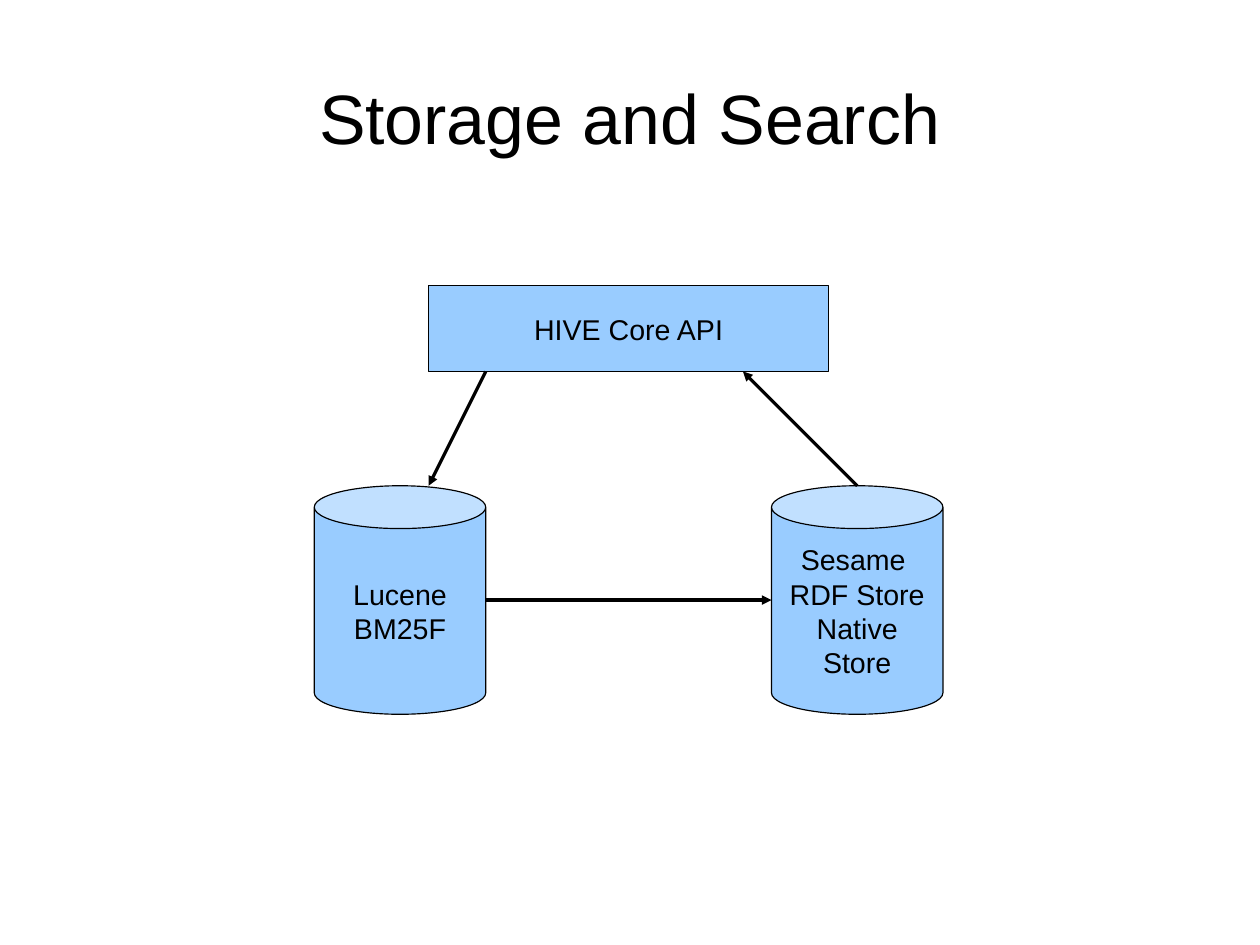
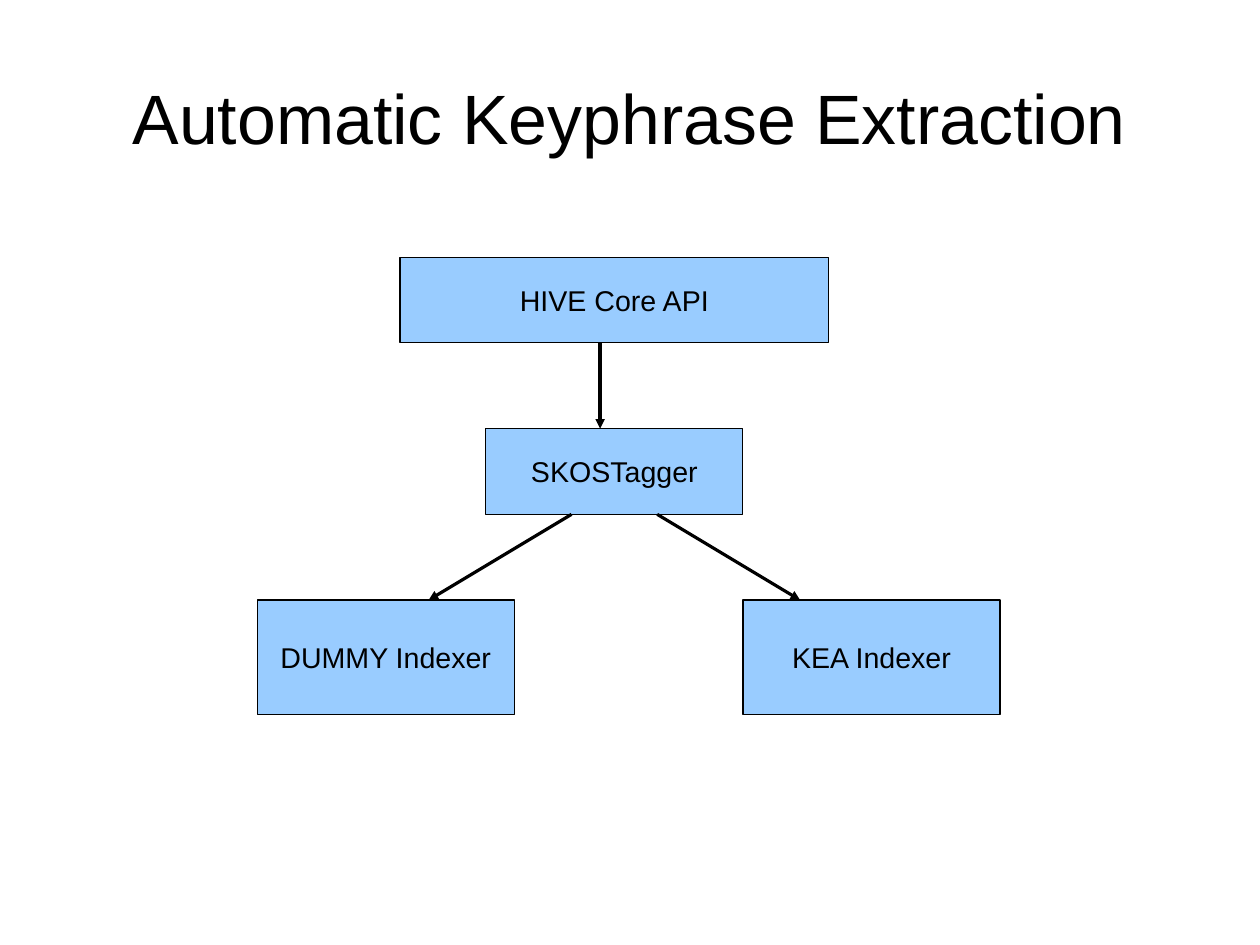
from lxml.etree import SubElement
from pptx import Presentation
from pptx.dml.color import RGBColor
from pptx.enum.shapes import MSO_CONNECTOR, MSO_SHAPE
from pptx.enum.text import MSO_ANCHOR, MSO_AUTO_SIZE, PP_ALIGN
from pptx.oxml.ns import qn
from pptx.util import Cm, Pt

# Shared style
BLACK = RGBColor(0x00, 0x00, 0x00)
SKY_BLUE = RGBColor(0x99, 0xCC, 0xFF)
FONT = "Arial"
HAIRLINE = Pt(0)
GRID = Cm(2.54) // 4  # the diagrams sit on a quarter-inch grid

# Diagrams in grid steps: nodes are (form, text, left, top, width, height),
# arrows are (from x, from y, to x, to y)
BOX, STORE = MSO_SHAPE.RECTANGLE, MSO_SHAPE.CAN
DIAGRAMS = [
    (
        "Storage and Search",
        [
            (BOX, "HIVE Core API", 15, 10, 14, 3),
            (STORE, "Lucene\nBM25F", 11, 17, 6, 8),
            (STORE, "Sesame \nRDF Store\nNative Store", 27, 17, 6, 8),
        ],
        [(17, 13, 15, 17), (17, 21, 27, 21), (30, 17, 26, 13)],
    ),
    (
        "Automatic Keyphrase Extraction",
        [
            (BOX, "HIVE Core API", 14, 9, 15, 3),
            (BOX, "SKOSTagger", 17, 15, 9, 3),
            (BOX, "DUMMY Indexer", 9, 21, 9, 4),
            (BOX, "KEA Indexer", 26, 21, 9, 4),
        ],
        [(21, 12, 21, 15), (20, 18, 15, 21), (23, 18, 28, 21)],
    ),
]


def write_text(shape, text, size=18, color=BLACK, align=PP_ALIGN.CENTER):
    frame = shape.text_frame
    frame.text = text
    frame.word_wrap = True
    frame.auto_size = MSO_AUTO_SIZE.NONE
    frame.vertical_anchor = MSO_ANCHOR.MIDDLE
    for paragraph in frame.paragraphs:
        paragraph.alignment = align
        paragraph.font.name = FONT
        paragraph.font.size = Pt(size)
        paragraph.font.color.rgb = color


def add_arrow(slide, start_x, start_y, end_x, end_y):
    arrow = slide.shapes.add_connector(
        MSO_CONNECTOR.STRAIGHT,
        start_x * GRID, start_y * GRID, end_x * GRID, end_y * GRID)
    arrow.line.color.rgb = BLACK
    arrow.line.width = HAIRLINE
    properties = arrow._element.spPr
    SubElement(properties.find(qn("a:ln")), qn("a:tailEnd"), type="triangle")
    SubElement(properties, qn("a:effectLst"))


presentation = Presentation()
presentation.slide_width = Cm(28)
presentation.slide_height = Cm(21)

# Title position, set once on the layout
layout = presentation.slide_layouts.get_by_name("Title Only")
title = layout.placeholders[0]
title.left, title.top, title.width, title.height = Cm(1.4), Cm(0.96), Cm(25.2), Cm(3.25)
frame = title.text_frame
frame.margin_left = frame.margin_right = frame.margin_top = frame.margin_bottom = 0

for heading, nodes, arrows in DIAGRAMS:
    slide = presentation.slides.add_slide(layout)
    write_text(slide.shapes.title, heading, size=44)

    # Boxes and stores
    for form, text, left, top, width, height in nodes:
        node = slide.shapes.add_shape(
            form, left * GRID, top * GRID, width * GRID, height * GRID)
        node.shadow.inherit = False
        node.fill.solid()
        node.fill.fore_color.rgb = SKY_BLUE
        node.line.color.rgb = BLACK
        node.line.width = HAIRLINE
        write_text(node, text)

    # Arrows between them
    for ends in arrows:
        add_arrow(slide, *ends)

presentation.save("out.pptx")
